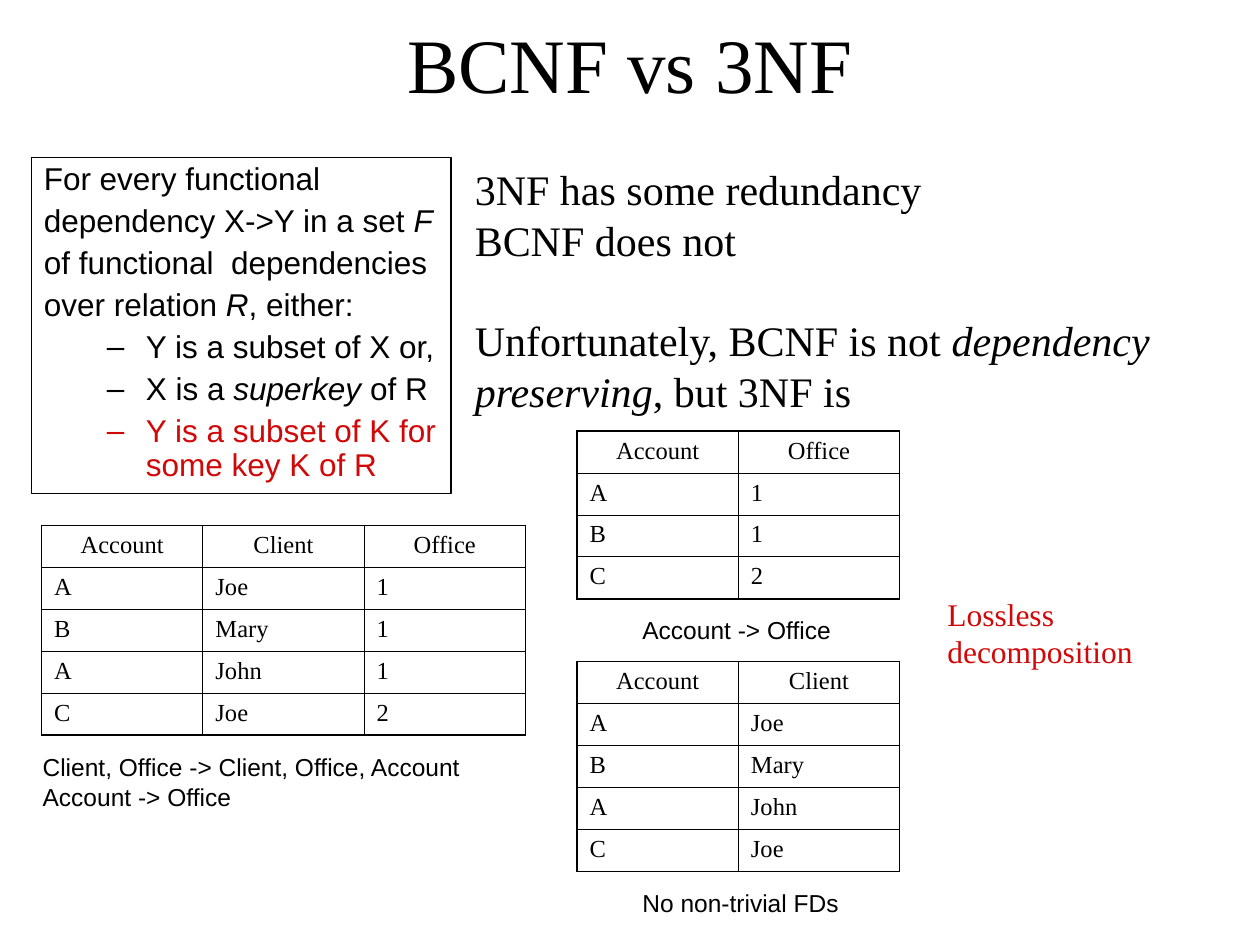
from dataclasses import dataclass

from lxml import etree
from pptx import Presentation, util as u
from pptx.dml.color import RGBColor
from pptx.enum import shapes, text
from pptx.oxml.ns import qn


@dataclass(frozen=True)
class Theme:
    ink: str = "000000"
    accent: str = "D10808"
    serif: str = "Times New Roman"
    sans: str = "Arial"
    title: int = 44
    lead: int = 24
    body: int = 18
    small: int = 14
    thick: float = 1.08
    thin: float = 0.45


T = Theme()


@dataclass(frozen=True)
class Style:
    size: int
    font: str
    color: str = T.ink


@dataclass(frozen=True)
class Para:
    text: str
    color: str = T.ink
    dash: bool = False
    before: float = 0


@dataclass(frozen=True)
class Note:
    box: tuple[float, float, float, float]
    style: Style
    paras: tuple[Para, ...]
    wrap: bool = True


@dataclass(frozen=True)
class Relation:
    left: float
    top: float
    header: str
    rows: tuple[str, ...]
    column_rule: float = T.thin


COL_W, ROW_H = 1.28, 1 / 3
CAPTION = Style(T.small, T.sans)
CELL = Style(T.small, T.serif)

CONDITIONS = (
    Para("For every functional"),
    Para("dependency X->Y in a set *F*"),
    Para("of functional  dependencies"),
    Para("over relation *R*, either:"),
    Para("Y is a subset of X or,", dash=True),
    Para("X is a *superkey* of R", dash=True),
    Para("Y is a subset of K for some key K of R", T.accent, dash=True),
)
RELATIONS = (
    Relation(0.33, 4.17, "Account Client Office",
             ("A Joe 1", "B Mary 1", "A John 1", "C Joe 2")),
    Relation(4.58, 3.42, "Account Office", ("A 1", "B 1", "C 2"), T.thick),
    Relation(4.58, 5.25, "Account Client", ("A Joe", "B Mary", "A John", "C Joe")),
)
NOTES = (
    Note((3.67, 1.25, 6, 2.1), Style(T.lead, T.serif),
         (Para("3NF has some redundancy"), Para("BCNF does not"),
          Para("Unfortunately, BCNF is not *dependency preserving*, but 3NF is",
               before=28.8))),
    Note((0.24, 5.92, 3.53, 0.57), CAPTION,
         (Para("Client, Office -> Client, Office, Account"),
          Para("Account -> Office")), wrap=False),
    Note((5, 4.83, 1.7, 0.34), CAPTION, (Para("Account -> Office"),), wrap=False),
    Note((5, 7, 1.76, 0.34), CAPTION, (Para("No non-trivial FDs"),), wrap=False),
    Note((7.42, 4.67, 1.75, 0.7), Style(T.body, T.serif),
         (Para("Lossless decomposition", T.accent),)),
)


def inches(*values: float) -> list[u.Length]:
    return [u.Inches(v) for v in values]


def set_all(obj, **values) -> None:
    for name, value in values.items():
        setattr(obj, name, value)


def write(p, content: str, style: Style) -> None:
    """Add runs to a paragraph; text between asterisks is italic."""
    for i, part in enumerate(content.split("*")):
        if part:
            r = p.add_run()
            r.text = part
            set_all(r.font, size=u.Pt(style.size), name=style.font,
                    italic=i % 2 == 1, bold=False)
            r.font.color.rgb = RGBColor.from_string(style.color)


def fill_frame(tf, paras: tuple[Para, ...], style: Style) -> None:
    for i, para in enumerate(paras):
        p = tf.paragraphs[0] if i == 0 else tf.add_paragraph()
        set_all(p, alignment=text.PP_ALIGN.LEFT, space_before=u.Pt(para.before))
        write(p, para.text, Style(style.size, style.font, para.color))


def add_dash(p, color: str) -> None:
    pPr = p._p.get_or_add_pPr()
    pPr.set("marL", str(u.Inches(0.81)))
    pPr.set("indent", str(u.Inches(-0.31)))
    bu_color = etree.SubElement(pPr, qn("a:buClr"))
    etree.SubElement(bu_color, qn("a:srgbClr"), val=color)
    etree.SubElement(pPr, qn("a:buFont"), typeface=T.sans)
    etree.SubElement(pPr, qn("a:buChar"), char="–")


def add_title(s) -> None:
    sp = s.shapes.title
    sp.left, sp.top, sp.width, sp.height = inches(0.75, 0, 8.5, 1)
    tf = sp.text_frame
    tf.vertical_anchor = text.MSO_ANCHOR.MIDDLE
    p = tf.paragraphs[0]
    p.alignment = text.PP_ALIGN.CENTER
    write(p, "BCNF vs 3NF", Style(T.title, T.serif))


def add_conditions(s) -> None:
    sp = s.shapes.add_shape(shapes.MSO_SHAPE.RECTANGLE, *inches(0.25, 1.25, 3.33, 2.67))
    sp.shadow.inherit = False
    sp.fill.background()
    sp.line.color.rgb = RGBColor.from_string(T.ink)
    sp.line.width = u.Pt(0.75)
    tf = sp.text_frame
    set_all(tf, word_wrap=True, vertical_anchor=text.MSO_ANCHOR.TOP)
    fill_frame(tf, CONDITIONS, Style(T.body, T.sans))
    for p, para in zip(tf.paragraphs, CONDITIONS):
        set_all(p, line_spacing=0.9, space_before=u.Pt(4.5))
        if para.dash:
            p.level = 1
            add_dash(p, para.color)


def add_note(s, note: Note) -> None:
    tf = s.shapes.add_textbox(*inches(*note.box)).text_frame
    set_all(tf, word_wrap=note.wrap, auto_size=text.MSO_AUTO_SIZE.SHAPE_TO_FIT_TEXT)
    fill_frame(tf, note.paras, note.style)


def add_borders(cell, **widths: float) -> None:
    tcPr = cell._tc.get_or_add_tcPr()
    for side, width in widths.items():
        ln = etree.SubElement(tcPr, qn(f"a:ln{side}"), w=str(u.Pt(width)))
        fill = etree.SubElement(ln, qn("a:solidFill"))
        etree.SubElement(fill, qn("a:srgbClr"), val=T.ink)


def add_relation(s, rel: Relation) -> None:
    grid = [line.split() for line in (rel.header, *rel.rows)]
    n_rows, n_cols = len(grid), len(grid[0])
    box = inches(rel.left, rel.top, n_cols * COL_W, n_rows * ROW_H)
    table = s.shapes.add_table(n_rows, n_cols, *box).table
    set_all(table, first_row=False, horz_banding=False)
    for column in table.columns:
        column.width = u.Inches(COL_W)
    for i, row in enumerate(grid):
        table.rows[i].height = u.Inches(ROW_H)
        for j, value in enumerate(row):
            cell = table.cell(i, j)
            add_borders(cell,
                        L=T.thick if j == 0 else rel.column_rule,
                        R=T.thick if j == n_cols - 1 else rel.column_rule,
                        T=T.thick if i == 0 else T.thin,
                        B=T.thick if i == n_rows - 1 else T.thin)
            cell.fill.background()
            p = cell.text_frame.paragraphs[0]
            p.alignment = text.PP_ALIGN.LEFT if i else text.PP_ALIGN.CENTER
            write(p, value, CELL)


def main() -> None:
    prs = Presentation()
    prs.slide_width, prs.slide_height = inches(10, 7.5)
    s = prs.slides.add_slide(prs.slide_layouts[5])
    add_title(s)
    add_conditions(s)
    for rel in RELATIONS:
        add_relation(s, rel)
    for note in NOTES:
        add_note(s, note)
    prs.save("out.pptx")


if __name__ == "__main__":
    main()
